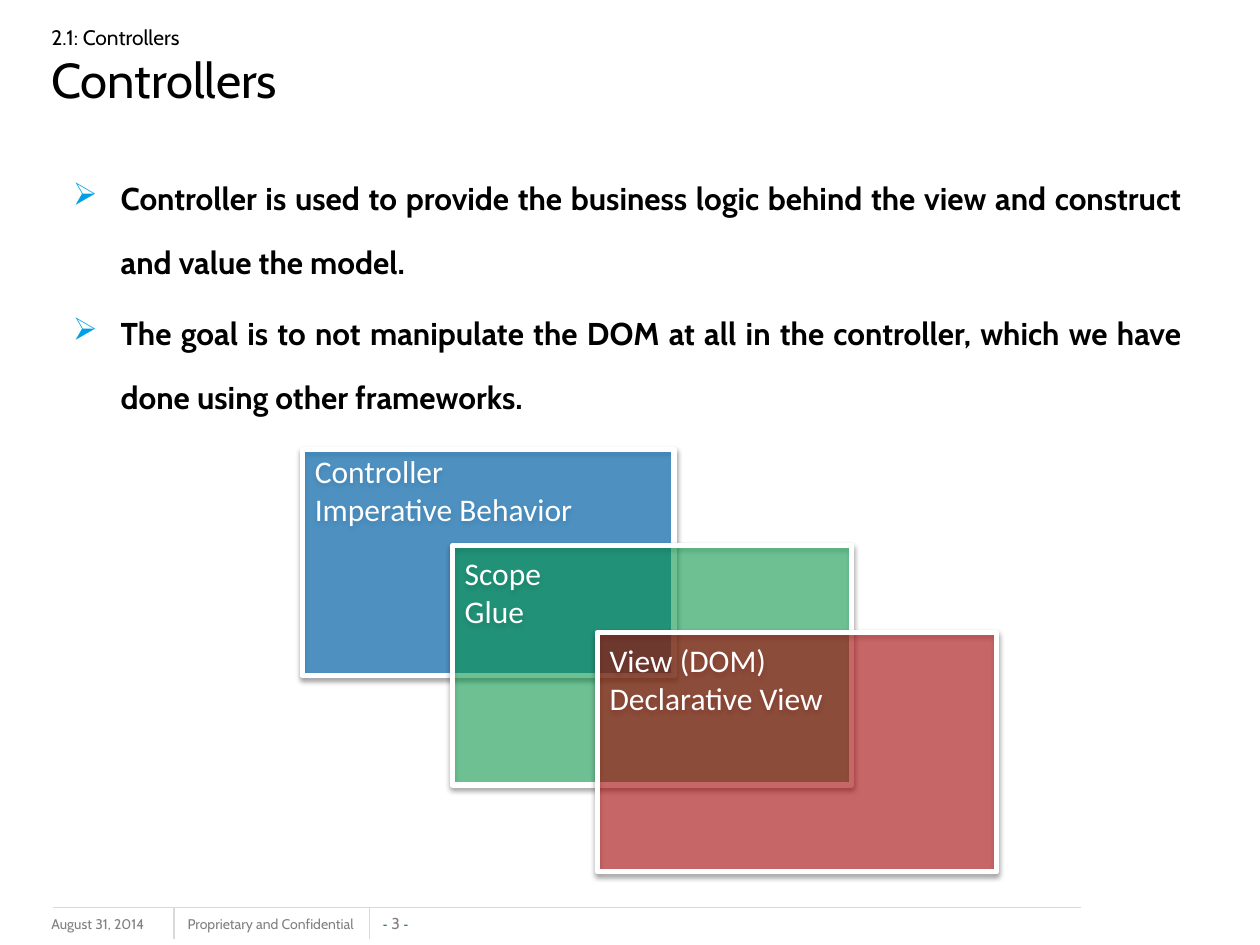
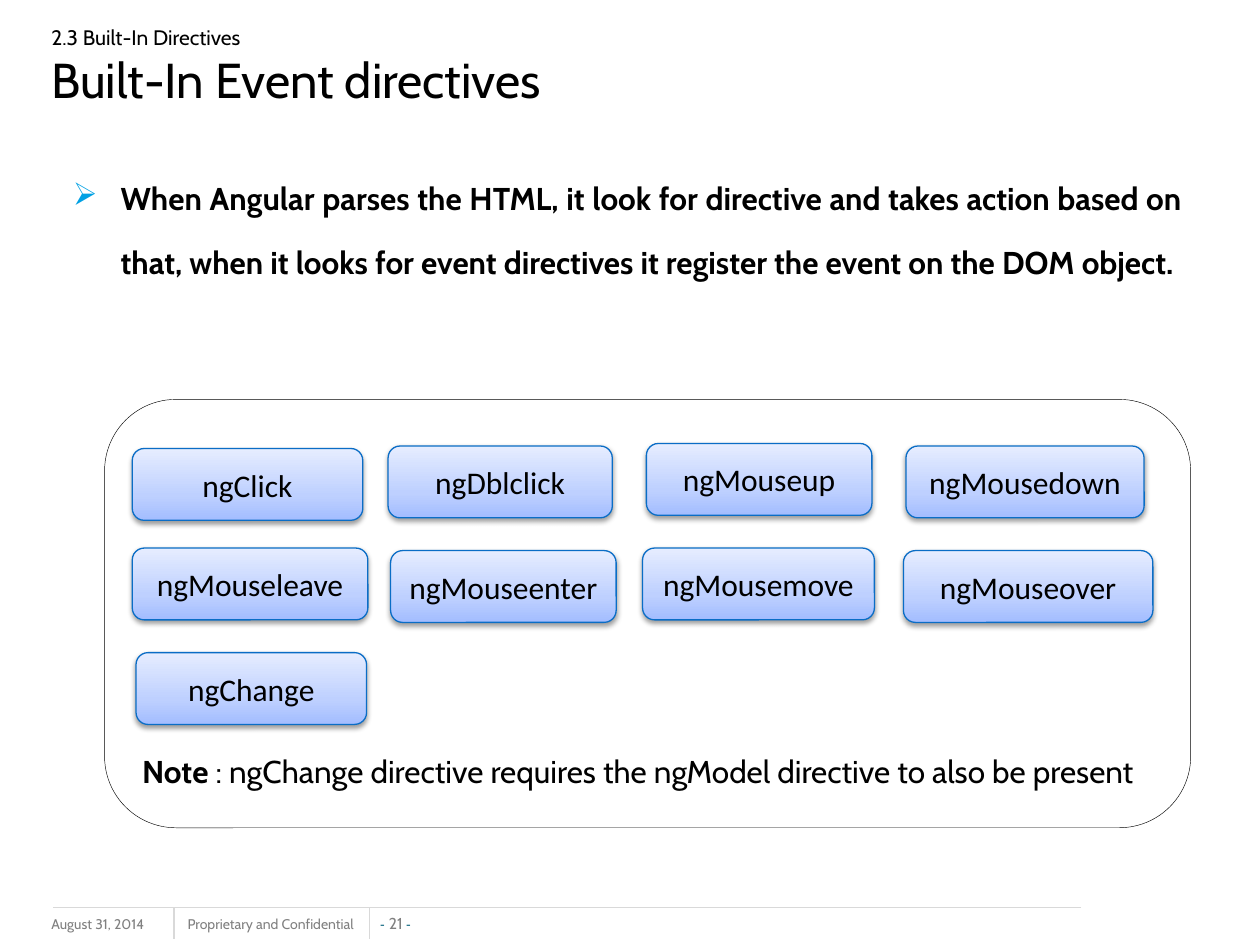
import pptx
import pptx.dml.color
import pptx.enum.shapes
import pptx.enum.text
import pptx.oxml.ns
import pptx.util
from lxml import etree

Inches = pptx.util.Inches
Pt = pptx.util.Pt
RGBColor = pptx.dml.color.RGBColor
MSO_SHAPE = pptx.enum.shapes.MSO_SHAPE
PP_ALIGN = pptx.enum.text.PP_ALIGN
MSO_ANCHOR = pptx.enum.text.MSO_ANCHOR
qn = pptx.oxml.ns.qn

BLACK = RGBColor(0x00, 0x00, 0x00)
WHITE = RGBColor(0xFF, 0xFF, 0xFF)
GREY = RGBColor(0x80, 0x80, 0x80)
RULE = RGBColor(0xD9, 0xD9, 0xD9)
TEAL = RGBColor(0x04, 0x61, 0x7B)
BULLET = RGBColor(0x00, 0xA1, 0xE4)
BLUE = RGBColor(0x00, 0x70, 0xC0)
GREEN = RGBColor(0x00, 0xB0, 0x50)
RED = RGBColor(0xC0, 0x00, 0x00)
BUTTON_LINE = RGBColor(0x0A, 0x6D, 0xC6)
BUTTON_STOPS = [
    (0, RGBColor(0xA3, 0xBD, 0xFF)),
    (35, RGBColor(0xBE, 0xD0, 0xFF)),
    (100, RGBColor(0xE6, 0xED, 0xFF)),
]

SECTION = {"name": "Cabin", "size": Pt(12), "color": BLACK}
TITLE = {**SECTION, "size": Pt(28)}
BODY = {**SECTION, "size": Pt(18)}
BODY_BOLD = {**BODY, "bold": True}
FOOTER = {"name": "Cabin", "size": Pt(8), "color": GREY}
PAGE_NUMBER = {**FOOTER, "size": Pt(9)}
PAGE_DASH = {"name": "Arial", "size": Pt(8), "color": TEAL}
LAYER_TEXT = {"name": "Calibri", "size": Pt(18), "color": WHITE}
BUTTON_TEXT = {**LAYER_TEXT, "color": BLACK}

LAYER_TEXT_HEIGHT = 1.76
BUTTON_HEIGHT = 0.57

LAYERS = [
    (["Controller", "Imperative Behavior"], (2.4, 3.57, 2.95, 1.79), BLUE, 60),
    (["Scope", "Glue"], (3.59, 4.33, 3.17, 1.9), GREEN, 47),
    (["View (DOM)", "Declarative View"], (4.74, 5.02, 3.17, 1.9), RED, 50),
]
EVENT_BUTTONS = [
    ("ngClick", 1.05, 3.56, 1.83),
    ("ngDblclick", 3.08, 3.54, 1.78),
    ("ngMouseup", 5.13, 3.52, 1.79),
    ("ngMousedown", 7.19, 3.54, 1.89),
    ("ngMouseleave", 1.05, 4.35, 1.87),
    ("ngMouseenter", 3.1, 4.37, 1.79),
    ("ngMousemove", 5.1, 4.35, 1.84),
    ("ngMouseover", 7.17, 4.37, 1.98),
    ("ngChange", 1.08, 5.18, 1.83),
]


def set_font(font, fmt):
    for key, value in fmt.items():
        if key == "color":
            font.color.rgb = value
        else:
            setattr(font, key, value)


def add_run(p, text, fmt):
    r = p.add_run()
    r.text = text
    set_font(r.font, fmt)


def add_text(s, box, runs=(), **frame):
    sp = s.shapes.add_textbox(*map(Inches, box))
    tf = sp.text_frame
    for key, value in {"word_wrap": True, **frame}.items():
        setattr(tf, key, value)
    for text, fmt in runs:
        add_run(tf.paragraphs[0], text, fmt)
    return tf


def add_rule(s, x1, y1, x2, y2):
    line = s.shapes.add_connector(
        pptx.enum.shapes.MSO_CONNECTOR.STRAIGHT, *map(Inches, (x1, y1, x2, y2)))
    line.line.color.rgb = RULE
    line.line.width = Pt(0.75)
    etree.SubElement(line._element.spPr, qn("a:effectLst"))


def add_box(s, kind, box, line_color, line_width):
    sp = s.shapes.add_shape(kind, *map(Inches, box))
    sp.shadow.inherit = False
    sp.fill.background()
    sp.line.color.rgb = line_color
    sp.line.width = Pt(line_width)
    return sp


def add_shadow(sp):
    effects = sp._element.spPr.find(qn("a:effectLst"))
    shadow = etree.SubElement(effects, qn("a:outerShdw"), blurRad=str(Pt(3.1)),
                              dist=str(Pt(1.6)), dir="5400000", rotWithShape="0")
    color = etree.SubElement(shadow, qn("a:srgbClr"), val=str(BLACK))
    etree.SubElement(color, qn("a:alpha"), val="38000")


def add_layer(s, lines, box, color, opacity):
    sp = add_box(s, MSO_SHAPE.RECTANGLE, box, WHITE, 3)
    sp.fill.solid()
    sp.fill.fore_color.rgb = color
    rgb = sp._element.spPr.find(qn("a:solidFill")).find(qn("a:srgbClr"))
    etree.SubElement(rgb, qn("a:alpha"), val=str(opacity * 1000))
    add_shadow(sp)
    tf = sp.text_frame
    tf.vertical_anchor = MSO_ANCHOR.TOP
    tf.margin_top = Inches((box[3] - LAYER_TEXT_HEIGHT) / 2)
    for i, text in enumerate(lines):
        p = tf.add_paragraph() if i else tf.paragraphs[0]
        p.alignment = PP_ALIGN.LEFT
        add_run(p, text, LAYER_TEXT)


def add_button(s, text, left, top, width):
    sp = add_box(s, MSO_SHAPE.ROUNDED_RECTANGLE,
                 (left, top, width, BUTTON_HEIGHT), BUTTON_LINE, 0.75)
    sp.fill.gradient()
    sp.fill.gradient_angle = 90
    stops = sp._element.spPr.find(".//" + qn("a:gsLst"))
    for stop in list(stops):
        stops.remove(stop)
    for position, color in BUTTON_STOPS:
        stop = etree.SubElement(stops, qn("a:gs"), pos=str(position * 1000))
        etree.SubElement(stop, qn("a:srgbClr"), val=str(color))
    add_shadow(sp)
    tf = sp.text_frame
    tf.word_wrap = True
    tf.vertical_anchor = MSO_ANCHOR.MIDDLE
    p = tf.paragraphs[0]
    p.alignment = PP_ALIGN.CENTER
    add_run(p, text, BUTTON_TEXT)


def add_title(s, section, title):
    tf = add_text(s, (0.31, 0.07, 7.34, 0.91), [(section, SECTION)],
                  vertical_anchor=MSO_ANCHOR.MIDDLE)
    p = tf.paragraphs[0]
    p.add_line_break()
    add_run(p, title, TITLE)


def add_bullets(s, height, items):
    tf = add_text(s, (0.48, 1.16, 9, height))
    for i, text in enumerate(items):
        p = tf.add_paragraph() if i else tf.paragraphs[0]
        pPr = p._p.get_or_add_pPr()
        pPr.set("marL", str(Inches(0.38)))
        pPr.set("indent", str(-Inches(0.38)))
        color = etree.SubElement(pPr, qn("a:buClr"))
        etree.SubElement(color, qn("a:srgbClr"), val=str(BULLET))
        etree.SubElement(pPr, qn("a:buChar"), char="➢")
        p.alignment = PP_ALIGN.JUSTIFY
        p.line_spacing = 1.7
        if i:
            p.space_before = Pt(4)
        add_run(p, text, BODY_BOLD)


def add_footer(s, number):
    add_text(s, (0.31, 7.22, 1.33, 0.25), [("August 31, 2014", FOOTER)])
    add_text(s, (1.39, 7.22, 1.57, 0.24),
             [("Proprietary and Confidential", FOOTER)], word_wrap=False)
    tf = add_text(
        s, (3.01, 7.25, 0.26, 0.15),
        [("- ", PAGE_DASH), (f"{number} ", PAGE_NUMBER), ("-", PAGE_DASH)],
        word_wrap=False, vertical_anchor=MSO_ANCHOR.BOTTOM,
        margin_left=0, margin_right=0, margin_top=0, margin_bottom=0)
    tf.paragraphs[0].alignment = PP_ALIGN.CENTER
    add_rule(s, 8.58, 7.2, 0.42, 7.2)
    for x in (1.38, 2.93):
        add_rule(s, x, 7.2, x, 7.45)


def add_slide(prs, number, section, title):
    s = prs.slides.add_slide(prs.slide_layouts[6])
    add_footer(s, number)
    add_title(s, section, title)
    return s


def build_controllers(prs):
    s = add_slide(prs, 3, "2.1: Controllers", "Controllers")
    add_bullets(s, 2.81, [
        "Controller is used to provide the business logic behind the view "
        "and construct and value the model.",
        "The goal is to not manipulate the DOM at all in the controller, "
        "which we have done using other frameworks.",
    ])
    for layer in LAYERS:
        add_layer(s, *layer)


def build_event_directives(prs):
    s = add_slide(prs, 21, "2.3 Built-In Directives", "Built-In Event directives")
    add_bullets(s, 1.54, [
        "When Angular parses the HTML, it look for directive and takes action "
        "based on that, when it looks for event directives it register the "
        "event on the DOM object.",
    ])
    for button in EVENT_BUTTONS:
        add_button(s, *button)
    add_box(s, MSO_SHAPE.ROUNDED_RECTANGLE, (0.83, 3.17, 8.62, 3.4), BLACK, 0.25)
    add_text(s, (1.03, 5.92, 8.17, 0.4), [
        ("Note", BODY_BOLD),
        (" : ngChange directive requires the ngModel directive to also be present",
         BODY),
    ])


def main():
    prs = pptx.Presentation()
    prs.slide_width = Inches(10)
    prs.slide_height = Inches(7.5)
    build_controllers(prs)
    build_event_directives(prs)
    prs.save("out.pptx")


if __name__ == "__main__":
    main()
